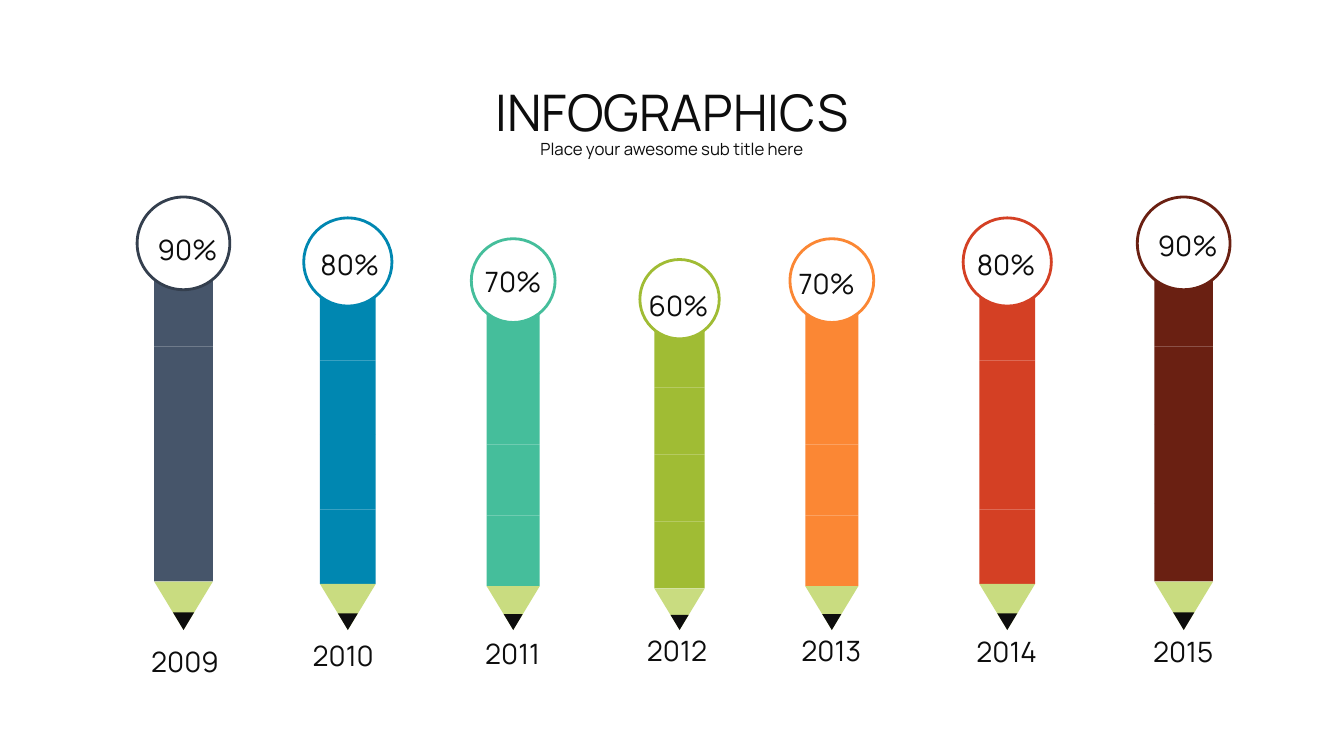
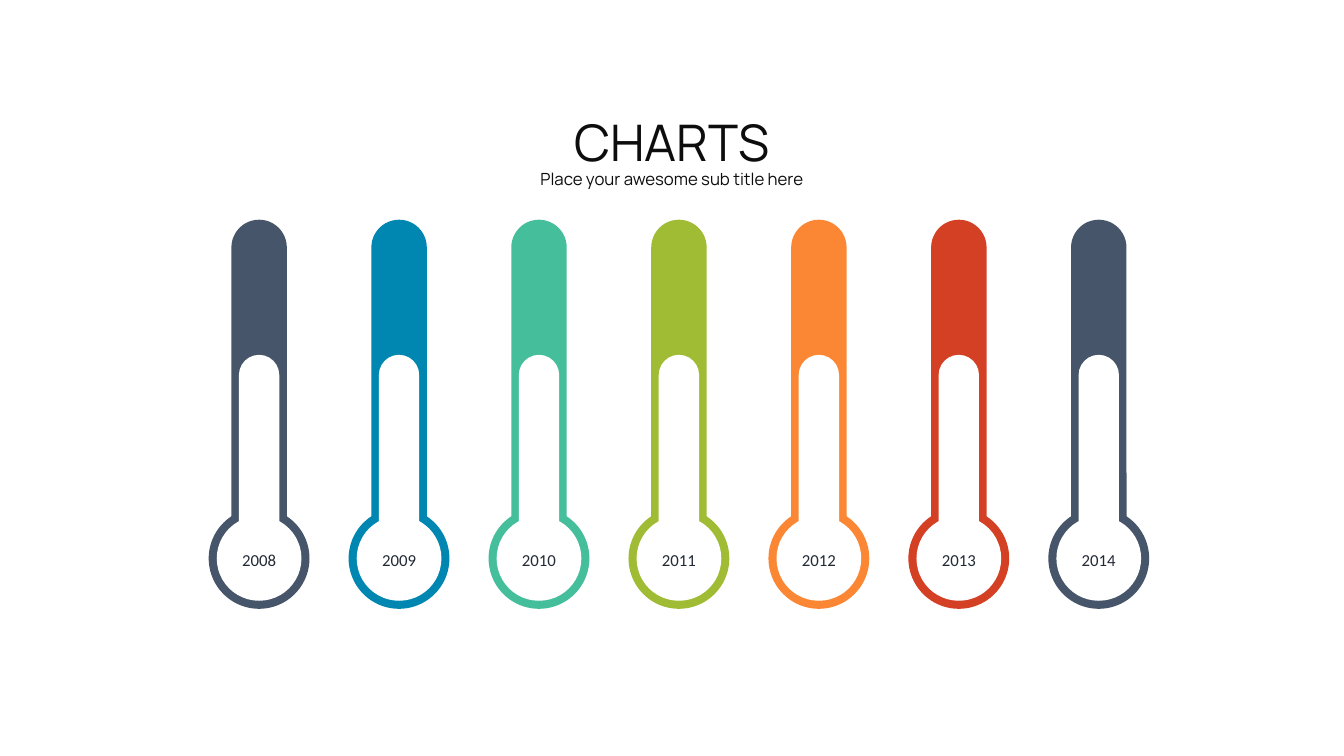
from pptx import Presentation
from pptx.dml.color import RGBColor
from pptx.enum.shapes import MSO_SHAPE
from pptx.enum.text import MSO_AUTO_SIZE, PP_ALIGN
from pptx.util import Inches, Pt

NAVY, BLUE, TEAL, LIME = "46556A", "0087B1", "45BE9B", "A0BC34"
ORANGE, RED, BROWN = "FB8734", "D44024", "6A2012"
WHITE, INK, DARK, WOOD, RIM = "FFFFFF", "0D0D0D", "222A35", "C9DC80", "343F4E"
FONT = "Manrope"
SUB = "Place your awesome sub title here"

# centre, percent, fill, ring, left and top of percent, year, left and top of year
PENCILS = [
    (1.82, 90, NAVY, RIM, 1.4, 2.09, "2009", 1.25, 6.18),
    (3.45, 80, BLUE, BLUE, 3.01, 2.24, "2010", 2.82, 6.12),
    (5.09, 70, TEAL, TEAL, 4.63, 2.41, "2011", 4.5, 6.1),
    (6.74, 60, LIME, LIME, 6.27, 2.65, "2012", 6.13, 6.07),
    (8.25, 70, ORANGE, ORANGE, 7.74, 2.43, "2013", 7.66, 6.07),
    (9.99, 80, RED, RED, 9.52, 2.24, "2014", 9.4, 6.08),
    (11.74, 90, BROWN, BROWN, 11.32, 2.05, "2015", 11.15, 6.08),
]
TUBES = [NAVY, BLUE, TEAL, LIME, ORANGE, RED, NAVY]


def rgb(code):
    return RGBColor.from_string(code)


def shape(slide, kind, mid, top, wide, high, fill, ring=None):
    """Add a preset shape centred on the horizontal position mid."""
    item = slide.shapes.add_shape(kind, Inches(mid - wide / 2), Inches(top),
                                  Inches(wide), Inches(high))
    item.shadow.inherit = False
    item.fill.solid()
    item.fill.fore_color.rgb = rgb(fill)
    if ring:
        item.line.color.rgb = rgb(ring)
        item.line.width = Pt(2)
    else:
        item.line.fill.background()
    return item


def label(slide, text, left, top, wide, high, size,
          font=FONT, color=INK, space=1.5):
    box = slide.shapes.add_textbox(Inches(left), Inches(top),
                                   Inches(wide), Inches(high))
    frame = box.text_frame
    frame.word_wrap = True
    frame.auto_size = MSO_AUTO_SIZE.SHAPE_TO_FIT_TEXT
    frame.text = text
    para = frame.paragraphs[0]
    para.alignment = PP_ALIGN.CENTER
    para.line_spacing = space
    face = para.runs[0].font
    face.name = font
    face.size = Pt(size)
    face.color.rgb = rgb(color)


def header(slide, title, top):
    label(slide, SUB, 0.62, top + 0.77, 12.09, 0.31, 12)
    label(slide, title, 0.62, top, 12.09, 1.01, 36)


def pencil(slide, mid, share, fill, ring):
    """Draw a pencil whose size follows its percentage."""
    base = 6.25
    wide = 0.33 + 0.0028 * share
    part, cone, tip = 1.334 * wide, 0.826 * wide, 0.3 * wide
    for row in range(4):
        shape(slide, MSO_SHAPE.RECTANGLE, mid, base - cone - (4 - row) * part,
              wide, part, fill)
    for span, high, tone in ((wide, cone, WOOD), (0.36 * wide, tip, INK)):
        point = shape(slide, MSO_SHAPE.ISOSCELES_TRIANGLE, mid, base - high,
                      span, high, tone)
        point.rotation = 180
    ball = 1.58 * wide
    shape(slide, MSO_SHAPE.OVAL, mid, base - 7.38 * wide, ball, ball, WHITE, ring)


def tube(slide, mid, fill):
    """Draw a thermometer: coloured outside, white inside."""
    layers = ((fill, 5.04, 1, 2.18, 0.55, 3.54),
              (WHITE, 5.12, 0.84, 3.52, 0.4, 1.85))
    for tone, low, ball, top, wide, high in layers:
        shape(slide, MSO_SHAPE.OVAL, mid, low, ball, ball, tone)
        stem = shape(slide, MSO_SHAPE.ROUNDED_RECTANGLE, mid, top,
                     wide, high, tone)
        stem.adjustments[0] = 0.5


def main():
    deck = Presentation()
    deck.slide_width, deck.slide_height = Inches(13.33), Inches(7.5)
    blank = deck.slide_layouts[6]

    slide = deck.slides.add_slide(blank)
    header(slide, "INFOGRAPHICS", 0.46)
    for mid, share, fill, ring, left, top, year, side, low in PENCILS:
        pencil(slide, mid, share, fill, ring)
        label(slide, f"{share}%", left, top, 0.92, 0.61, 20)
        label(slide, year, side, low, 1.17, 0.61, 20)

    slide = deck.slides.add_slide(blank)
    header(slide, "CHARTS", 0.75)
    for step, fill in enumerate(TUBES):
        mid = 2.57 + 1.388 * step
        tube(slide, mid, fill)
        label(slide, str(2008 + step), mid - 0.42, 5.4, 0.84, 0.3, 12,
              "Calibri", DARK, 1.0)

    deck.save("out.pptx")


if __name__ == "__main__":
    main()
